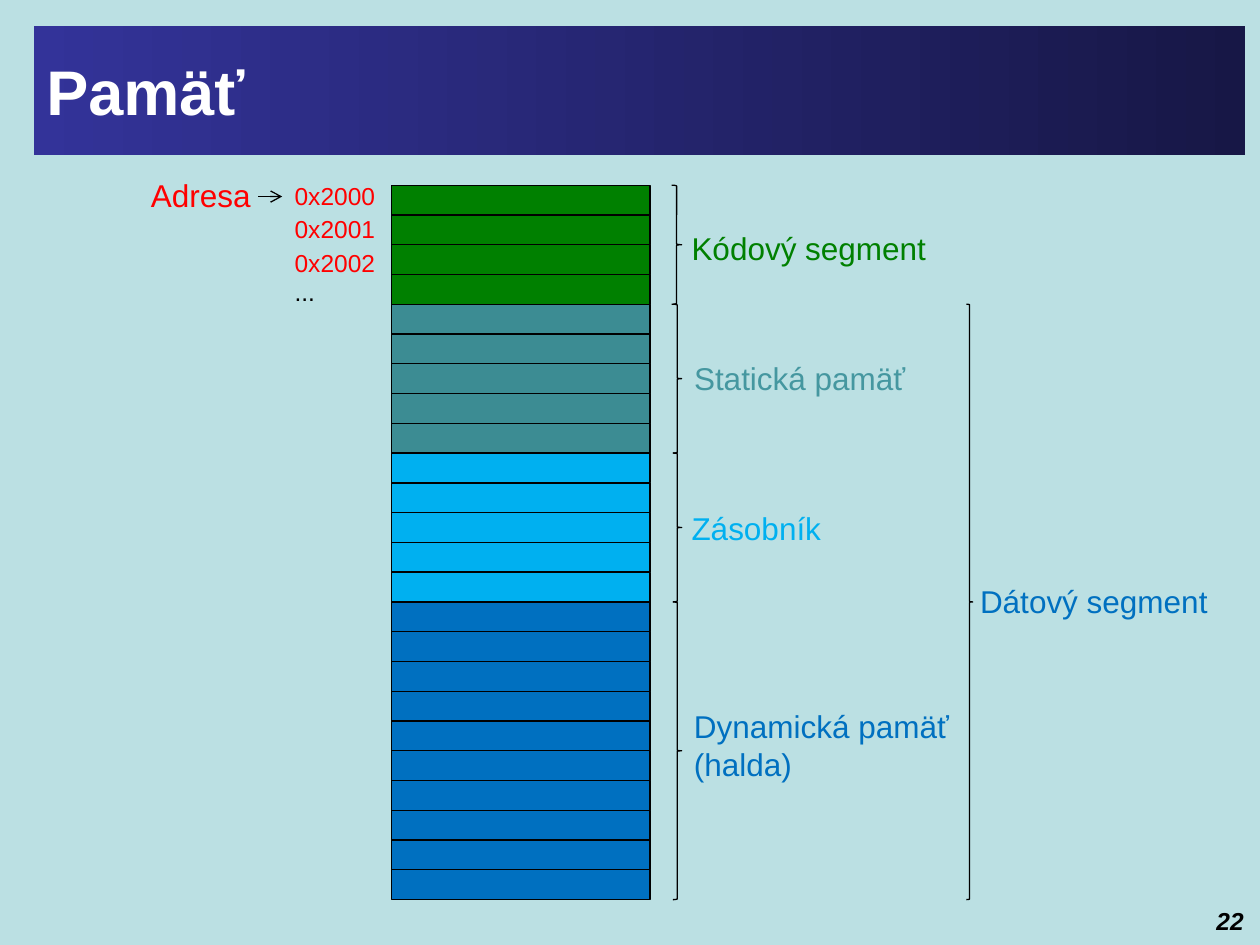
from lxml import etree
from pptx import Presentation
from pptx import util as u
from pptx.dml.color import RGBColor
from pptx.enum import shapes, text
from pptx.oxml.ns import qn

BACKGROUND = RGBColor(0xBB, 0xE0, 0xE3)
INDIGO = RGBColor(0x33, 0x33, 0x99)
NIGHT = RGBColor(0x17, 0x17, 0x46)
WHITE = RGBColor(0xFF, 0xFF, 0xFF)
BLACK = RGBColor(0, 0, 0)
RED = RGBColor(0xFF, 0, 0)
GREEN = RGBColor(0, 0x80, 0)
TEAL = RGBColor(0x3C, 0x8C, 0x93)
LIGHT_TEAL = RGBColor(0x45, 0x97, 0xA0)
SKY = RGBColor(0, 0xB0, 0xF0)
BLUE = RGBColor(0, 0x70, 0xC0)


def write(shape, content, size=18, color=BLACK, bold=False, italic=False,
          align=text.PP_ALIGN.LEFT, anchor=text.MSO_ANCHOR.TOP):
    """Put one formatted paragraph in a shape."""
    tf = shape.text_frame
    tf.word_wrap = True
    tf.vertical_anchor = anchor
    p = tf.paragraphs[0]
    p.alignment = align
    r = p.add_run()
    r.text = content
    r.font.name = "Arial"
    r.font.size = u.Pt(size)
    r.font.bold = bold
    r.font.italic = italic
    r.font.color.rgb = color


class Canvas:
    """The current slide and its line style."""

    def __init__(self, slide, line_color=BLACK, line_width=0.75):
        """Keep the slide and the style."""
        self.s = slide
        self.line_color = line_color
        self.line_width = u.Pt(line_width)

    def outline(self, sp):
        """Give a shape or connector the standard line."""
        sp.line.color.rgb = self.line_color
        sp.line.width = self.line_width

    def shape(self, kind, x, y, w, h, fill=None):
        """Add an outlined preset shape, filled if a colour is given."""
        sp = self.s.shapes.add_shape(kind, *map(u.Inches, (x, y, w, h)))
        sp.shadow.inherit = False
        self.outline(sp)
        if fill is None:
            sp.fill.background()
        else:
            sp.fill.solid()
            sp.fill.fore_color.rgb = fill
        return sp

    def label(self, content, x, y, w, h, **style):
        """Add a text box."""
        sp = self.s.shapes.add_textbox(*map(u.Inches, (x, y, w, h)))
        write(sp, content, **style)

    def banner(self, content, x, y, w, h):
        """Add the title bar with a left-to-right gradient."""
        sp = self.shape(shapes.MSO_SHAPE.RECTANGLE, x, y, w, h)
        sp.line.fill.background()
        sp.fill.gradient()
        sp.fill.gradient_angle = 0
        for stop, color, place in zip(sp.fill.gradient_stops, (INDIGO, NIGHT), (0, 1)):
            stop.color.rgb = color
            stop.position = place
        write(sp, content, size=36, color=WHITE, bold=True,
              anchor=text.MSO_ANCHOR.MIDDLE)

    def brace(self, x, y, w, h):
        """Add a right brace."""
        self.shape(shapes.MSO_SHAPE.RIGHT_BRACE, x, y, w, h)

    def arrow(self, x1, y1, x2, y2):
        """Add a straight line with an open arrowhead at its end."""
        c = self.s.shapes.add_connector(shapes.MSO_CONNECTOR.STRAIGHT,
                                        *map(u.Inches, (x1, y1, x2, y2)))
        self.outline(c)
        etree.SubElement(c.line._get_or_add_ln(), qn("a:tailEnd"), type="arrow")
        etree.SubElement(c._element.spPr, qn("a:effectLst"))


prs = Presentation()
prs.slide_width, prs.slide_height = u.Inches(10), u.Inches(7.5)
s = prs.slides.add_slide(prs.slide_layouts[6])
s.background.fill.solid()
s.background.fill.fore_color.rgb = BACKGROUND
canvas = Canvas(s)

canvas.banner("Pamäť", 0.27, 0.21, 9.61, 1.02)
canvas.label("22", 9.44, 7.14, 0.53, 0.31, size=14, bold=True, italic=True,
             align=text.PP_ALIGN.RIGHT)

# Segments: cells, cell colour, label, label colour, label box, brace left and width
SEGMENTS = [
    (4, GREEN, "Kódový segment", GREEN, (5.39, 1.77, 2.36, 0.4), 5.33, 0.08),
    (5, TEAL, "Statická pamäť", LIGHT_TEAL, (5.41, 2.8, 2.19, 0.4), 5.34, 0.07),
    (5, SKY, "Zásobník", SKY, (5.39, 3.99, 2.19, 0.4), 5.34, 0.07),
    (10, BLUE, "Dynamická pamäť (halda)", BLUE, (5.41, 5.56, 2.5, 0.71), 5.34, 0.07),
]
TOP, BOTTOM = 1.47, 7.14
CELL = (BOTTOM - TOP) / sum(segment[0] for segment in SEGMENTS)

y = TOP
for count, fill, name, color, box, brace_x, brace_w in SEGMENTS:
    for i in range(count):
        canvas.shape(shapes.MSO_SHAPE.RECTANGLE, 3.11, y + i * CELL, 2.05, CELL, fill)
    canvas.brace(brace_x, y, brace_w, count * CELL)
    canvas.label(name, *box, color=color)
    y += count * CELL

data_top = TOP + SEGMENTS[0][0] * CELL
canvas.brace(7.67, data_top, 0.05, BOTTOM - data_top)
canvas.label("Dátový segment", 7.68, 4.57, 2.36, 0.4, color=BLUE)

for address, top, color in [("0x2000", 1.39, RED), ("0x2001", 1.65, RED),
                            ("0x2002", 1.92, RED), ("...", 2.15, BLACK)]:
    canvas.label(address, 2.24, top, 0.87, 0.34, size=14, color=color)
canvas.label("Adresa", 1.1, 1.35, 1.1, 0.4, color=RED)
canvas.arrow(2.05, 1.56, 2.24, 1.56)

prs.save("out.pptx")
